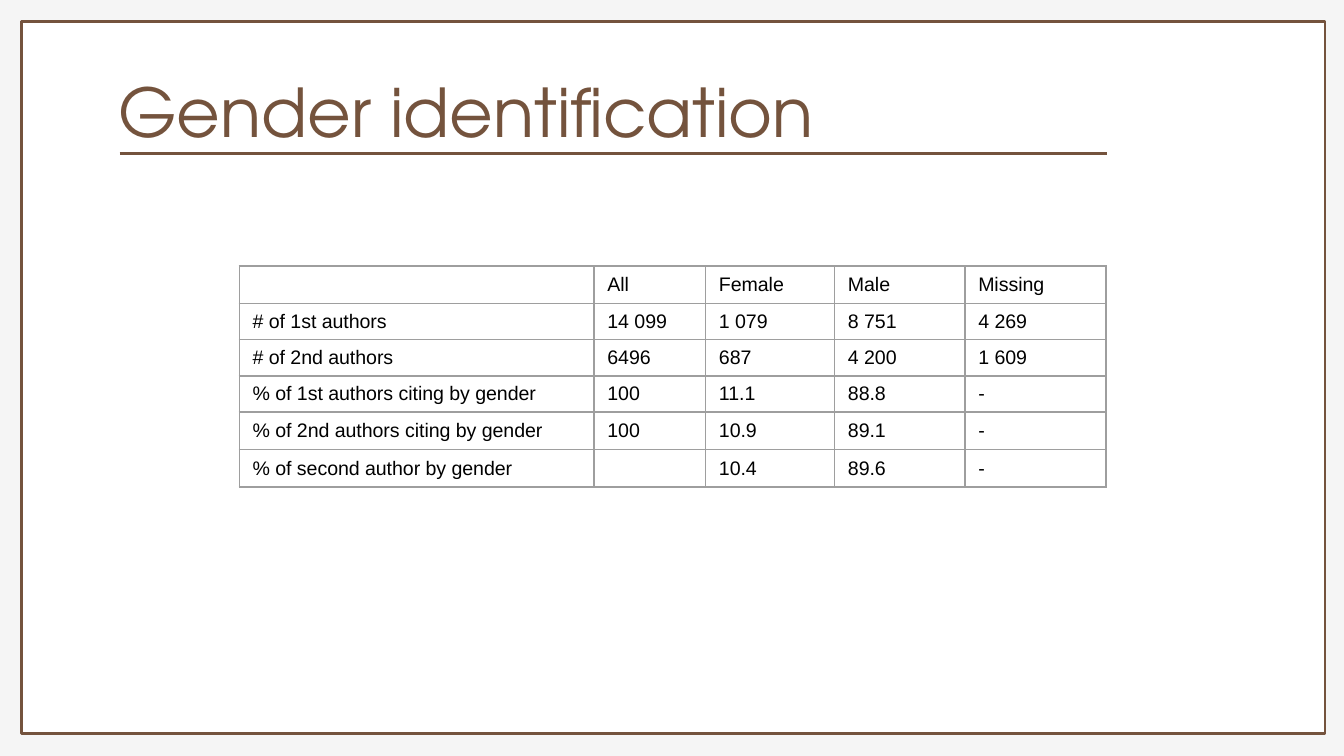
from lxml.etree import SubElement
from pptx import Presentation
from pptx.dml.color import RGBColor
from pptx.enum.shapes import MSO_CONNECTOR as Connector, MSO_SHAPE as Shape
from pptx.enum.text import MSO_ANCHOR as Anchor, PP_ALIGN as Align
from pptx.oxml import parse_xml
from pptx.oxml.ns import nsdecls, qn
from pptx.util import Inches, Pt

BACKDROP = RGBColor(0xF5, 0xF5, 0xF5)
WHITE = RGBColor(0xFF, 0xFF, 0xFF)
BROWN = RGBColor(0x74, 0x53, 0x3D)
BLACK = RGBColor(0, 0, 0)
GRID = RGBColor(0x9E, 0x9E, 0x9E)

SLIDE_SIZE = {"slide_width": Inches(10), "slide_height": Inches(10) * 9 // 16}
TITLE_FONT = {"name": "TeX Gyre Adventor", "size": Pt(36), "bold": False}
CELL_FONT = {"name": "Arial", "size": Pt(10.5), "bold": False}
TITLE_FRAME = {
    "margin_left": Inches(0.1), "margin_right": Inches(0.1),
    "margin_top": Inches(0.1), "margin_bottom": Inches(0.1),
    "vertical_anchor": Anchor.TOP, "word_wrap": True,
}
CELL_FORMAT = {
    "margin_left": Inches(0.1), "margin_right": Inches(0.1),
    "margin_top": Inches(0.05), "margin_bottom": Inches(0.05),
    "vertical_anchor": Anchor.MIDDLE,
}

COLUMN_WIDTHS = [2.64, 0.83, 0.96, 0.97, 1.05]
ROW_HEIGHTS = [0.27, 0.27, 0.27, 0.27, 0.28, 0.27]
AUTHOR_COUNTS = [
    ["", "All", "Female", "Male", "Missing"],
    ["# of 1st authors", "14 099", "1 079", "8 751", "4 269"],
    ["# of 2nd authors", "6496", "687", "4 200", "1 609"],
    ["% of 1st authors citing by gender", "100", "11.1", "88.8", "-"],
    ["% of 2nd authors citing by gender", "100", "10.9", "89.1", "-"],
    ["% of second author by gender", "", "10.4", "89.6", "-"],
]


def apply(target, values):
    for attribute, value in values.items():
        setattr(target, attribute, value)


def outline(part, color, width):
    part.line.color.rgb = color
    part.line.width = Pt(width)


def add_panel(slide, left, top, width, height):
    panel = slide.shapes.add_shape(
        Shape.RECTANGLE, Inches(left), Inches(top), Inches(width), Inches(height))
    panel.shadow.inherit = False
    panel.fill.solid()
    panel.fill.fore_color.rgb = WHITE
    outline(panel, BROWN, 1.5)
    slide.shapes.title.element.addprevious(panel.element)


def add_heading(slide, left, top, width, height):
    title = slide.shapes.title
    apply(title, {"left": Inches(left), "top": Inches(top),
                  "width": Inches(width), "height": Inches(height)})
    outline(title, WHITE, 0.75)
    title.text = "Gender identification"
    apply(title.text_frame, TITLE_FRAME)
    heading = title.text_frame.paragraphs[0]
    heading.alignment = Align.LEFT
    apply(heading.runs[0].font, TITLE_FONT)
    heading.runs[0].font.color.rgb = BROWN

    rule_left, rule_top = Inches(left + 0.11), Inches(top + 0.72)
    rule = slide.shapes.add_connector(
        Connector.STRAIGHT, rule_left, rule_top, rule_left + Inches(7.35), rule_top)
    outline(rule, BROWN, 1.5)
    SubElement(rule.element.spPr, qn("a:effectLst"))


def add_borders(cell):
    properties = cell._tc.get_or_add_tcPr()
    for position, side in enumerate(("lnL", "lnR", "lnT", "lnB")):
        properties.insert(position, parse_xml(
            f'<a:{side} {nsdecls("a")} w="{Pt(0.89)}"><a:solidFill>'
            f'<a:srgbClr val="{GRID}"/></a:solidFill></a:{side}>'))


def fill_cell(cell, content):
    cell.text = content
    apply(cell, CELL_FORMAT)
    cell.fill.background()
    add_borders(cell)
    entry = cell.text_frame.paragraphs[0]
    for run in entry.runs:
        apply(run.font, CELL_FONT)
        run.font.color.rgb = BLACK
    if not content:
        SubElement(entry._p, qn("a:endParaRPr"), sz="1050")


def add_author_table(slide, left, top, width, height):
    table = slide.shapes.add_table(
        len(ROW_HEIGHTS), len(COLUMN_WIDTHS),
        Inches(left), Inches(top), Inches(width), Inches(height)).table
    apply(table, {"first_row": False, "horz_banding": False})
    for column, column_width in zip(table.columns, COLUMN_WIDTHS):
        column.width = Inches(column_width)
    for row, row_height, contents in zip(table.rows, ROW_HEIGHTS, AUTHOR_COUNTS):
        row.height = Inches(row_height)
        for cell, content in zip(row.cells, contents):
            fill_cell(cell, content)


def main():
    deck = Presentation()
    apply(deck, SLIDE_SIZE)
    slide = deck.slides.add_slide(deck.slide_layouts[5])
    slide.background.fill.solid()
    slide.background.fill.fore_color.rgb = BACKDROP
    add_panel(slide, 0.16, 0.16, 9.7, 5.3)
    add_heading(slide, 0.78, 0.42, 8.14, 0.85)
    add_author_table(slide, 1.78, 1.98, sum(COLUMN_WIDTHS), sum(ROW_HEIGHTS))
    deck.save("out.pptx")


if __name__ == "__main__":
    main()
